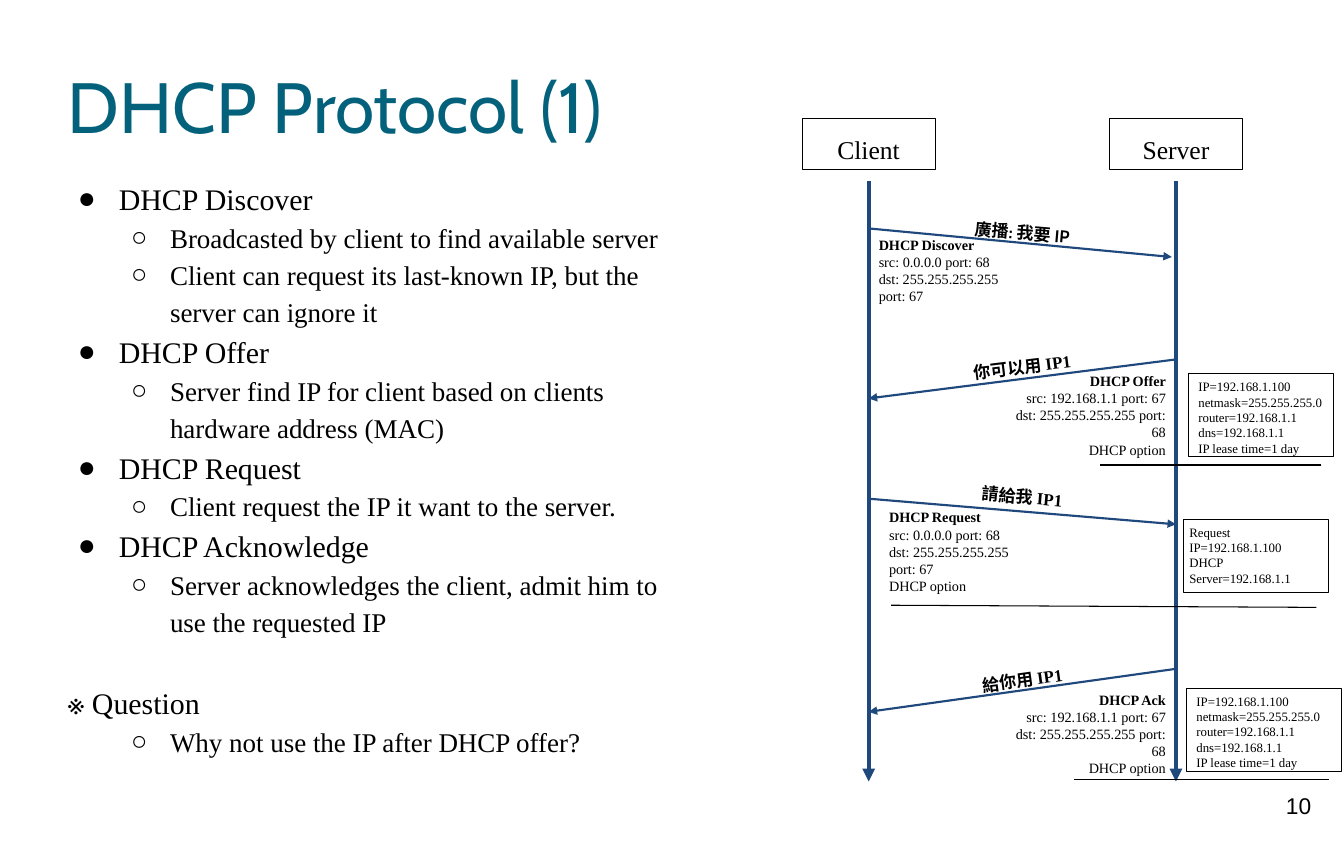
"""Build the DHCP Protocol slide: a bullet list beside a client-server sequence diagram."""
from dataclasses import dataclass

from lxml import etree
from pptx import Presentation
from pptx.dml.color import RGBColor
from pptx.enum.shapes import MSO_CONNECTOR, MSO_SHAPE
from pptx.enum.text import MSO_ANCHOR, MSO_AUTO_SIZE, PP_ALIGN
from pptx.oxml.ns import qn
from pptx.util import Pt

LEFT, CENTER, RIGHT = PP_ALIGN.LEFT, PP_ALIGN.CENTER, PP_ALIGN.RIGHT
TOP, MIDDLE = MSO_ANCHOR.TOP, MSO_ANCHOR.MIDDLE
NO_FIT = MSO_AUTO_SIZE.NONE
RECT, STRAIGHT = MSO_SHAPE.RECTANGLE, MSO_CONNECTOR.STRAIGHT


@dataclass(frozen=True)
class Theme:
    ink: str = "000000"
    title_color: str = "04617B"
    flow: str = "1F497D"
    serif: str = "Times New Roman"
    display: str = "Cabin"
    plain: str = "Arial"
    title: int = 50
    topic: int = 21
    detail: int = 19
    actor: int = 18
    page: int = 16
    label: int = 12
    note: int = 10
    option: int = 9


class Deck:
    def __init__(self, theme, width, height):
        self.t = theme
        self.prs = Presentation()
        self.prs.slide_width, self.prs.slide_height = Pt(width), Pt(height)
        self.s = self.prs.slides.add_slide(self.prs.slide_layouts[1])

    def frame(self, sp, insets=(7.2, 7.2, 7.2, 7.2), anchor=TOP):
        tf = sp.text_frame
        sides = ("margin_left", "margin_top", "margin_right", "margin_bottom")
        fmt = {"word_wrap": True, "auto_size": NO_FIT, "vertical_anchor": anchor}
        fmt.update(zip(sides, map(Pt, insets)))
        for name, value in fmt.items():
            setattr(tf, name, value)
        return tf

    def paragraph(self, tf, i, text, size, font=None, color=None, bold=False,
                  align=LEFT, spacing=1.0, before=0, bullet=None):
        p = tf.paragraphs[0] if i == 0 else tf.add_paragraph()
        if bullet:
            self.bullet(p, *bullet)
        fmt = {"alignment": align, "line_spacing": spacing,
               "space_before": Pt(before), "space_after": Pt(0)}
        for name, value in fmt.items():
            setattr(p, name, value)
        r = p.add_run()
        r.text = text
        fmt = {"name": font or self.t.serif, "size": Pt(size), "bold": bold}
        for name, value in fmt.items():
            setattr(r.font, name, value)
        r.font.color.rgb = RGBColor.from_string(color or self.t.ink)

    def bullet(self, p, char, margin, indent):
        pPr = p._p.get_or_add_pPr()
        pPr.set("marL", str(Pt(margin)))
        pPr.set("indent", str(Pt(indent)))
        if char:
            clr = etree.SubElement(pPr, qn("a:buClr"))
            etree.SubElement(clr, qn("a:srgbClr"), val=self.t.ink)
            etree.SubElement(pPr, qn("a:buFont"), typeface=self.t.serif)
            etree.SubElement(pPr, qn("a:buChar"), char=char)
        else:
            etree.SubElement(pPr, qn("a:buNone"))

    def place(self, sp, box):
        for name, value in zip(("left", "top", "width", "height"), box):
            setattr(sp, name, Pt(value))

    def title(self, text, box):
        sp = self.s.shapes.title
        self.place(sp, box)
        tf = self.frame(sp, (0, 0, 0, 0), MIDDLE)
        self.paragraph(tf, 0, text, self.t.title, self.t.display, self.t.title_color)

    def outline(self, items, box):
        t = self.t
        levels = {"topic": (t.topic, 0, ("●", 36, -28.8)),
                  "detail": (t.detail, 1, ("○", 72, -27.4)),
                  "aside": (t.topic, 0, (None, 0, 0))}
        sp = self.s.placeholders[1]
        self.place(sp, box)
        tf = self.frame(sp, (0, 0, 0, 0))
        for i, (kind, text) in enumerate(items):
            size, level, bullet = levels[kind]
            self.paragraph(tf, i, text, size, spacing=1.15, bullet=bullet,
                           before=29 if kind == "aside" else 0)
            tf.paragraphs[i].level = level

    def text(self, lines, box, size, insets=(7.2, 7.2, 7.2, 7.2), anchor=TOP,
             rotation=0, bold_first=False, **style):
        sp = self.s.shapes.add_textbox(*map(Pt, box))
        sp.rotation = rotation
        tf = self.frame(sp, insets, anchor)
        for i, line in enumerate(lines):
            self.paragraph(tf, i, line, size, bold=bold_first and i == 0, **style)

    def box(self, lines, box, size, insets=(7.2, 7.2, 7.2, 7.2), **style):
        sp = self.s.shapes.add_shape(RECT, *map(Pt, box))
        sp.shadow.inherit = False
        sp.fill.background()
        sp.line.color.rgb = RGBColor.from_string(self.t.ink)
        sp.line.width = Pt(0.75)
        tf = self.frame(sp, insets)
        for i, line in enumerate(lines):
            self.paragraph(tf, i, line, size, **style)

    def line(self, x1, y1, x2, y2, color, width, arrow=False):
        c = self.s.shapes.add_connector(STRAIGHT, *map(Pt, (x1, y1, x2, y2)))
        c.line.color.rgb = RGBColor.from_string(color)
        c.line.width = Pt(width)
        if arrow:
            etree.SubElement(c.line._get_or_add_ln(), qn("a:tailEnd"), type="triangle")
        etree.SubElement(c._element.spPr, qn("a:effectLst"))


OUTLINE = [
    ("topic", "DHCP Discover"),
    ("detail", "Broadcasted by client to find available server"),
    ("detail", "Client can request its last-known IP, but the server can ignore it"),
    ("topic", "DHCP Offer"),
    ("detail", "Server find IP for client based on clients hardware address (MAC)"),
    ("topic", "DHCP Request"),
    ("detail", "Client request the IP it want to the server."),
    ("topic", "DHCP Acknowledge"),
    ("detail", "Server acknowledges the client, admit him to use the requested IP"),
    ("aside", "※ Question"),
    ("detail", "Why not use the IP after DHCP offer?"),
]
CLIENT_X, SERVER_X = 610.56, 826.56
FROM_CLIENT = ["src: 0.0.0.0 port: 68", "dst: 255.255.255.255 port: 67"]
FROM_SERVER = ["src: 192.168.1.1 port: 67", "dst: 255.255.255.255 port: 68"]
OPTION = ["DHCP option"]
LEASE = ["IP=192.168.1.100", "netmask=255.255.255.0", "router=192.168.1.1",
         "dns=192.168.1.1", "IP lease time=1 day"]
REQUEST = ["Request IP=192.168.1.100", "DHCP Server=192.168.1.1"]


def main():
    t = Theme()
    d = Deck(t, 944.64, 595.44)
    d.title("DHCP Protocol (1)", (47.5, 23.8, 473.8, 99.4))
    d.outline(OUTLINE, (47.5, 123.1, 427, 410.4))
    d.text(["10"], (884.2, 549.4, 56.9, 45.4), t.page, font=t.plain, align=CENTER)

    for name, x in (("Client", CLIENT_X), ("Server", SERVER_X)):
        d.box([name], (x - 46.8, 83.5, 93.6, 36), t.actor, align=CENTER, spacing=1.15)
        d.line(x, 127.4, x, 549.4, t.flow, 3, arrow=True)

    arrows = [
        (CLIENT_X, 160.6, SERVER_X - 2.9, 180.7),
        (SERVER_X, 252.7, CLIENT_X, 280.1),
        (CLIENT_X, 350.6, SERVER_X, 368.6),
        (SERVER_X, 470.2, CLIENT_X, 500.4),
    ]
    for arrow in arrows:
        d.line(*arrow, t.flow, 1.5, arrow=True)

    labels = [
        ("廣播: 我要 IP", 149, 5, t.display),
        ("你可以用 IP1", 243.4, -7.1, t.serif),
        ("請給我 IP1", 334.8, 5, t.serif),
        ("給你用 IP1", 463.7, -7.9, t.serif),
    ]
    for text, top, angle, font in labels:
        d.text([text], ((CLIENT_X + SERVER_X) / 2 - 100, top, 200, 28.8), t.label,
               rotation=angle, bold_first=True, font=font, align=CENTER)

    notes = [
        (["DHCP Discover"] + FROM_CLIENT, (CLIENT_X, 169.2, 102.2, 41.8), LEFT),
        (["DHCP Offer"] + FROM_SERVER + OPTION, (706.3, 267.8, 120.2, 48.2), RIGHT),
        (["DHCP Request"] + FROM_CLIENT + OPTION, (617.8, 363.6, 102.2, 48.2), LEFT),
        (["DHCP Ack"] + FROM_SERVER + OPTION, (706.3, 491.8, 120.2, 48.2), RIGHT),
    ]
    for lines, box, align in notes:
        d.text(lines, box, t.note, (7.2, 3.6, 7.2, 3.6), MIDDLE,
               bold_first=True, align=align)

    options = [
        (LEASE, (835.2, 262.8, 102.2, 58.3), (7.2, 3), (928.8, 326.9, 773.3, 326.9)),
        (REQUEST, (831.6, 365, 102.2, 51.8), (4.3, 14), (925.2, 427, 626.4, 425.5)),
        (LEASE, (833.8, 483.8, 109.4, 58.3), (7.2, 3), (933.8, 547.9, 754.6, 547.9)),
    ]
    for lines, box, (left, right), rule in options:
        d.box(lines, box, t.option, (left, 3.6, right, 3.6))
        d.line(*rule, t.ink, 0.75)

    d.prs.save("out.pptx")


if __name__ == "__main__":
    main()
